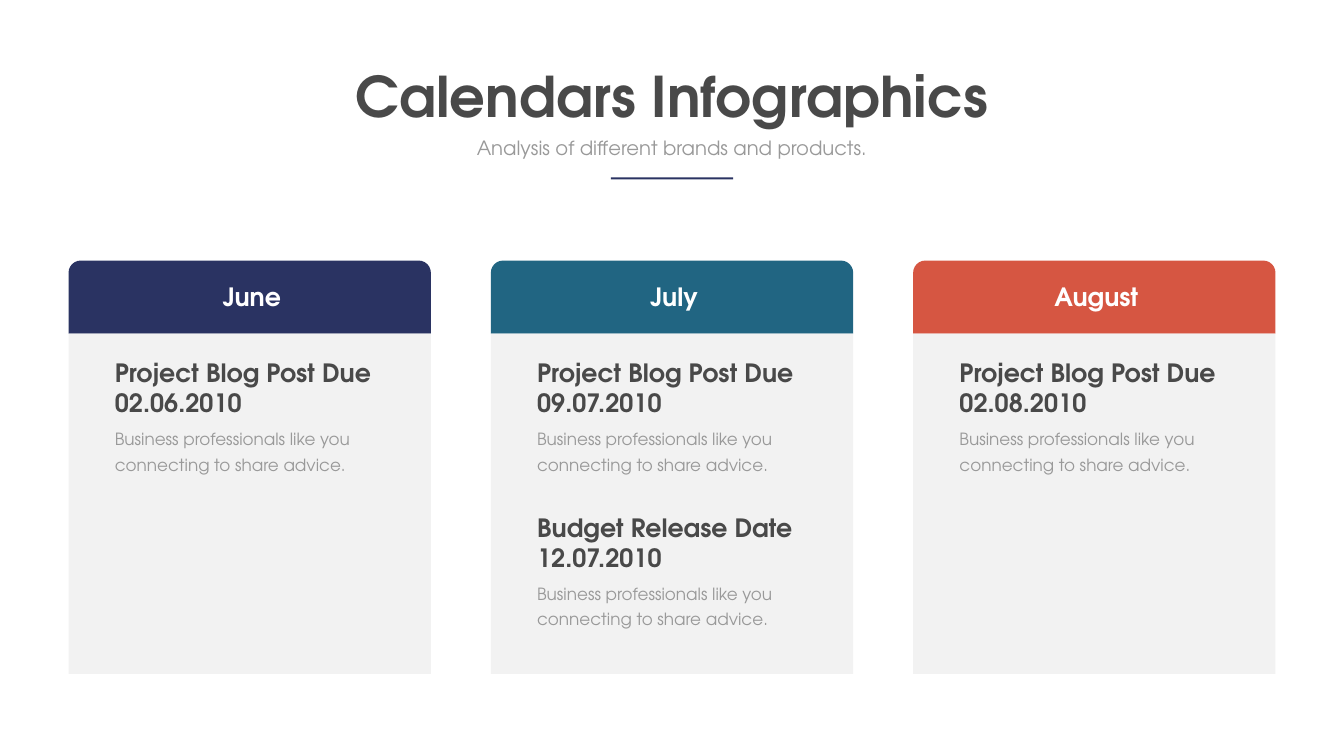
from pptx import Presentation
from pptx import util as u
from pptx.dml.color import RGBColor
from pptx.enum import shapes, text

TITLE = "Calendars Infographics"
SUBTITLE = "Analysis of different brands and products."
ADVICE = "Business professionals like you connecting to share advice."
MONTHS = [
    ("June", "2A3362", [["Project Blog Post Due 02.06.2010"]]),
    ("July", "216582", [["Project Blog Post Due 09.07.2010"],
                        ["Budget Release Date", "12.07.2010"]]),
    ("August", "D65642", [["Project Blog Post Due 02.08.2010"]]),
]

FONT = "TeX Gyre Adventor"
NAVY, DARK, GREY, PALE, WHITE = "2A3362", "494949", "999999", "F2F2F2", "FFFFFF"
PX = 9144
SLIDE_W, SLIDE_H = 2667, 1500
MARGIN, CARD_W = 136, 719
HEAD_Y, HEAD_H, BODY_H = 517, 145, 675
EVENT_Y, EVENT_STEP, EVENT_H = 704, 307, 131
PITCH = (SLIDE_W - 2 * MARGIN - CARD_W) / (len(MONTHS) - 1)


def px(n):
    return u.Emu(round(n * PX))


def color(value):
    return RGBColor.from_string(value)


def add_block(kind, x, y, w, h, fill):
    sp = s.shapes.add_shape(kind, px(x), px(y), px(w), px(h))
    sp.shadow.inherit = False
    sp.fill.solid()
    sp.fill.fore_color.rgb = color(fill)
    sp.line.fill.background()


def add_text(lines, x, y, w, h, size, fill, bold=False, centered=False,
             spacing=None, wrap=True):
    tf = s.shapes.add_textbox(px(x), px(y), px(w), px(h)).text_frame
    tf.word_wrap = wrap
    for i, line in enumerate(lines):
        p = tf.add_paragraph() if i else tf.paragraphs[0]
        p.alignment = text.PP_ALIGN.CENTER if centered else text.PP_ALIGN.LEFT
        if spacing:
            p.line_spacing = u.Pt(spacing)
        r = p.add_run()
        r.text = line
        r.font.name = FONT
        r.font.size = u.Pt(size)
        r.font.bold = bold
        r.font.color.rgb = color(fill)


prs = Presentation()
prs.slide_width, prs.slide_height = px(SLIDE_W), px(SLIDE_H)
s = prs.slides.add_slide(prs.slide_layouts[6])

add_text([TITLE], 689, 117, 1289, 145, 80, DARK, bold=True, centered=True, wrap=False)
add_text([SUBTITLE], 855, 265, 956, 57, 28, GREY, centered=True)
add_block(shapes.MSO_SHAPE.RECTANGLE, 1212, 352, 243, 4, NAVY)

for i, (month, fill, events) in enumerate(MONTHS):
    x = MARGIN + i * PITCH
    add_block(shapes.MSO_SHAPE.ROUND_2_SAME_RECTANGLE, x, HEAD_Y, CARD_W, HEAD_H, fill)
    add_block(shapes.MSO_SHAPE.RECTANGLE, x, HEAD_Y + HEAD_H, CARD_W, BODY_H, PALE)
    add_text([month], x + 119, 554, 489, 71, 36, WHITE, bold=True, centered=True)
    for j, heading in enumerate(events):
        y = EVENT_Y + j * EVENT_STEP
        add_text([ADVICE], x + 82, y + EVENT_H, 515, 113, 24, GREY, spacing=36.6)
        add_text(heading, x + 82, y, 549, EVENT_H, 36, DARK, bold=True)

prs.save("out.pptx")
